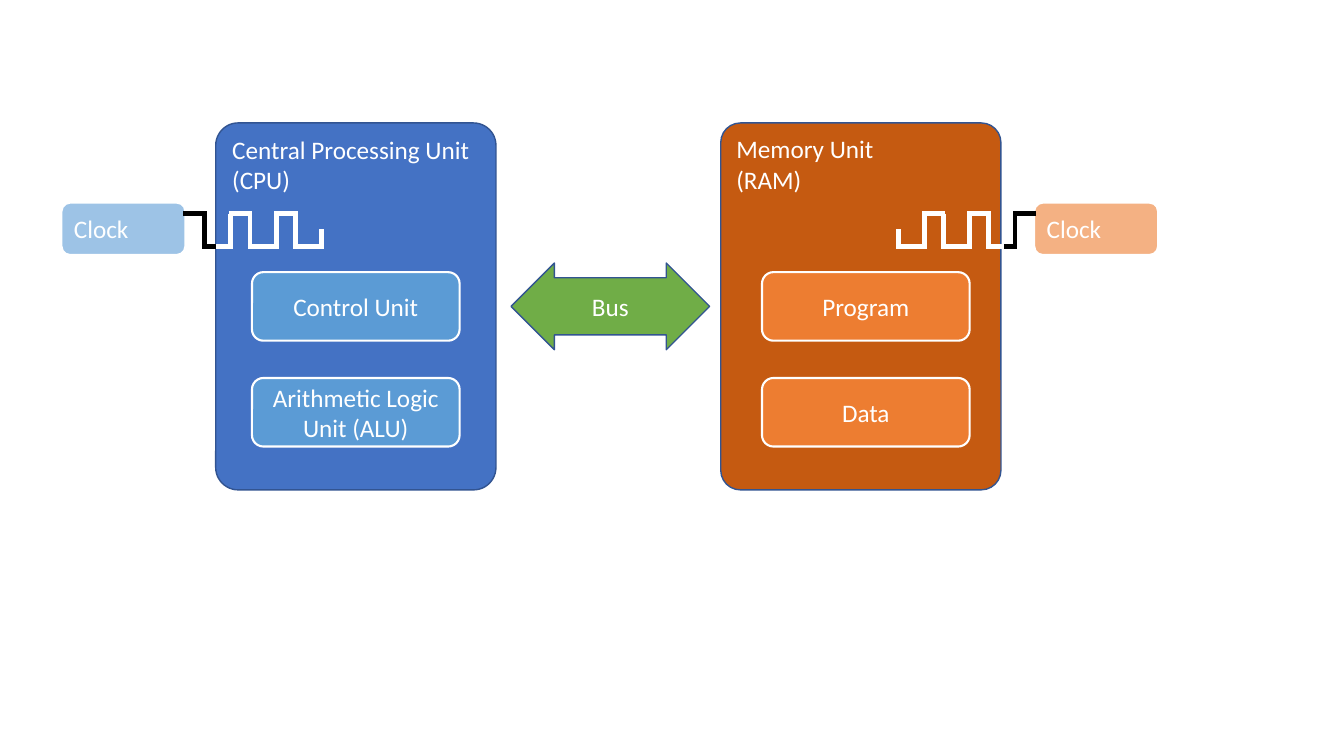
"""Build a slide of a CPU and a memory unit joined by a bus, each with its clock."""
from dataclasses import dataclass

from lxml import etree
from pptx import Presentation
from pptx import util as u
from pptx.dml.color import RGBColor
from pptx.enum import shapes, text
from pptx.oxml.ns import qn

CELL = u.Inches(0.1)
COLS, ROWS = 133.33, 75

WHITE = RGBColor(0xFF, 0xFF, 0xFF)
BLACK = RGBColor(0x00, 0x00, 0x00)
NAVY = RGBColor(0x32, 0x54, 0x91)
BLUE = RGBColor(0x44, 0x72, 0xC4)
SKY = RGBColor(0x5B, 0x9B, 0xD5)
PALE_BLUE = RGBColor(0x9D, 0xC3, 0xE6)
RUST = RGBColor(0xC5, 0x5A, 0x11)
ORANGE = RGBColor(0xED, 0x7D, 0x31)
PALE_ORANGE = RGBColor(0xF4, 0xB1, 0x83)
GREEN = RGBColor(0x70, 0xAD, 0x47)

ROUND = shapes.MSO_SHAPE.ROUNDED_RECTANGLE
ARROW = shapes.MSO_SHAPE.LEFT_RIGHT_ARROW
LEFT, CENTER = text.PP_ALIGN.LEFT, text.PP_ALIGN.CENTER
TOP, MIDDLE = text.MSO_ANCHOR.TOP, text.MSO_ANCHOR.MIDDLE

FONT = {"name": "Calibri", "size": u.Pt(18)}
PULSE_STEP, WAVE_TOP = 4.5, 21.2
PULSE = ((0, 0), (2.1, 0), (2.1, 3.3), (4.7, 3.3))


@dataclass(frozen=True)
class Kind:
    """Look shared by boxes of one kind, sized in grid cells."""
    width: float
    height: float
    line: RGBColor = WHITE
    line_width: float = 1.5
    align: text.PP_ALIGN = CENTER
    anchor: text.MSO_ANCHOR = MIDDLE
    preset: shapes.MSO_SHAPE = ROUND


@dataclass(frozen=True)
class Box:
    """A labelled box at a column and row of the grid."""
    kind: Kind
    label: str
    col: float
    row: float
    fill: RGBColor
    adjustments: tuple[float, ...] = ()


@dataclass(frozen=True)
class Wave:
    """One stroke of a clock signal, in cells from the clock's edge."""
    points: tuple[tuple[float, float], ...]
    color: RGBColor = WHITE


@dataclass(frozen=True)
class Clock:
    """A clock box with its signal's start column and direction."""
    box: Box
    start: float
    direction: int


UNIT = Kind(27.8, 36.4, NAVY, 1, LEFT, TOP)
BUS = Kind(19.7, 8.6, NAVY, 1, preset=ARROW)
PART = Kind(20.6, 6.8)
CLOCK = Kind(12.3, 5.2, align=LEFT)

PART_ROWS = (27, 37.5)
BOXES = (
    Box(UNIT, "Central Processing Unit (CPU)", 21.4, 12.2, BLUE, (0.08,)),
    Box(UNIT, "Memory Unit\v(RAM)", 71.5, 12.2, RUST, (0.07,)),
    Box(BUS, "Bus", 50.7, 26.1, GREEN, (0.66, 0.5)),
    *(Box(PART, label, col, row, fill)
      for col, fill, labels in (
          (25, SKY, ("Control Unit", "Arithmetic Logic Unit (ALU)")),
          (75.6, ORANGE, ("Program", "Data")))
      for row, label in zip(PART_ROWS, labels)),
)
CLOCKS = (
    Clock(Box(CLOCK, "Clock", 6.1, 20.1, PALE_BLUE), 18.2, 1),
    Clock(Box(CLOCK, "Clock", 102.6, 20.1, PALE_ORANGE), 102.8, -1),
)


def pulse(index: int, tip: float = 0) -> tuple[tuple[float, float], ...]:
    """Return the points of one clock pulse, ending at the given depth."""
    return tuple((x + index * PULSE_STEP, y) for x, y in (*PULSE, (4.7, tip)))


WAVES = (
    Wave(pulse(0), BLACK),
    Wave(pulse(1)),
    Wave(pulse(2, tip=1.5)),
    Wave(((3.2, 3.3), (4.7, 3.3), (4.7, 0))),
)


def cells(count: float) -> int:
    """Convert grid cells to a length."""
    return round(count * CELL)


def set_all(target: object, values: dict[str, object]) -> None:
    """Set each named attribute of the target."""
    for name, value in values.items():
        setattr(target, name, value)


def draw_box(slide, box: Box) -> None:
    """Draw one labelled box."""
    kind = box.kind
    sp = slide.shapes.add_shape(
        kind.preset, *map(cells, (box.col, box.row, kind.width, kind.height)))
    sp.shadow.inherit = False
    for i, value in enumerate(box.adjustments):
        sp.adjustments[i] = value
    sp.fill.solid()
    sp.fill.fore_color.rgb = box.fill
    sp.line.color.rgb = kind.line
    sp.line.width = u.Pt(kind.line_width)
    tf = sp.text_frame
    set_all(tf, {"word_wrap": True, "vertical_anchor": kind.anchor})
    p = tf.paragraphs[0]
    p.text = box.label
    p.alignment = kind.align
    for r in p.runs:
        set_all(r.font, FONT)
        r.font.color.rgb = WHITE


def draw_wave(slide, wave: Wave, clock: Clock) -> None:
    """Draw one signal stroke running away from its clock."""
    points = [(cells(clock.start + clock.direction * x), cells(WAVE_TOP + y))
              for x, y in wave.points]
    builder = slide.shapes.build_freeform(*points[0])
    builder.add_line_segments(points[1:], close=False)
    sp = builder.convert_to_shape()
    sp.shadow.inherit = False
    sp.fill.background()
    sp.line.color.rgb = wave.color
    sp.line.width = u.Pt(3.5)
    ln = sp.line._get_or_add_ln()
    etree.SubElement(ln, qn("a:miter"), lim="800000")


def main() -> None:
    """Build and save the slide."""
    prs = Presentation()
    set_all(prs, {"slide_width": cells(COLS), "slide_height": cells(ROWS)})
    slide = prs.slides.add_slide(prs.slide_layouts[6])
    for box in BOXES:
        draw_box(slide, box)
    for clock in CLOCKS:
        draw_box(slide, clock.box)
        for wave in WAVES:
            draw_wave(slide, wave, clock)
    prs.save("out.pptx")


if __name__ == "__main__":
    main()
